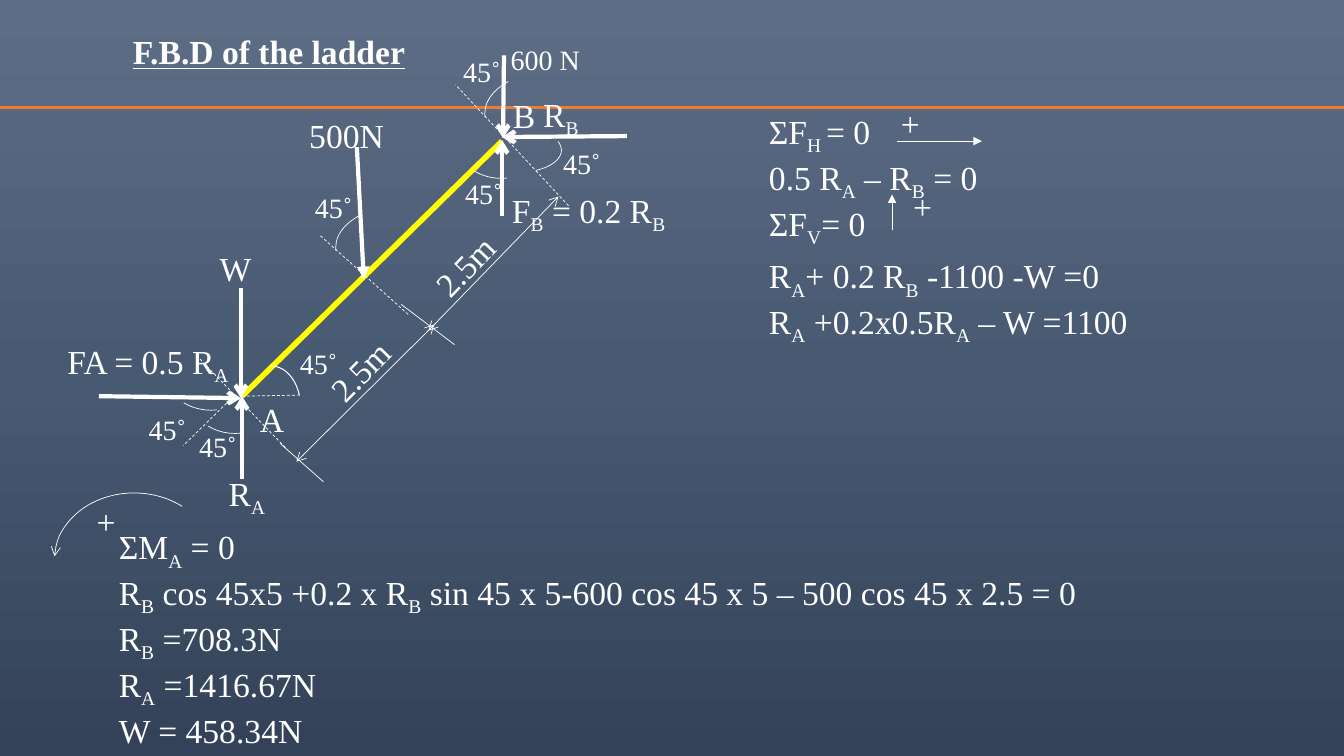
from copy import deepcopy
from dataclasses import dataclass

from lxml.etree import SubElement as Sub
from pptx import Presentation
from pptx.dml.color import RGBColor as RGB
from pptx.enum.dml import MSO_LINE as Dash
from pptx.enum.shapes import MSO_CONNECTOR as Conn, MSO_SHAPE as Shape
from pptx.enum.text import MSO_AUTO_SIZE as Auto, PP_ALIGN as Align
from pptx.oxml.ns import qn
from pptx.util import Pt


@dataclass(frozen=True)
class Theme:
    font: str = "Times New Roman"
    ink: str = "FFFFFF"
    rule: str = "ED7D31"
    beam: str = "FFFF00"
    back: tuple = ("5D6D85", "485972", "334258")
    text: int = 24
    small: int = 20


theme = Theme()


def write(text, x, y, w, h=36, size=theme.text, align=None, wrap=True, turn=0, bold=False):
    """Place text; the parts between bars are set as subscripts."""
    box = slide.shapes.add_textbox(Pt(x), Pt(y), Pt(w), Pt(h))
    box.rotation = turn
    frame = box.text_frame
    frame.word_wrap = wrap
    frame.auto_size = Auto.SHAPE_TO_FIT_TEXT
    for row, line in enumerate(text.split("\n")):
        para = frame.paragraphs[0] if row == 0 else frame.add_paragraph()
        para.alignment = align
        for part, piece in enumerate(line.split("|")):
            if not piece:
                continue
            run = para.add_run()
            run.text = piece
            font = run.font
            font.name, font.size = theme.font, Pt(size)
            font.color.rgb = RGB.from_string(theme.ink)
            if bold:
                font.bold = font.underline = True
            if part % 2:
                run._r.get_or_add_rPr().set("baseline", "-25000")


def stroke(shape, width=0.5, color=theme.ink, dash=False, head=None, tail=None):
    """Set the outline of a connector or arc, with its arrowheads."""
    line = shape.line
    line.color.rgb = RGB.from_string(color)
    line.width = Pt(width)
    if dash:
        line.dash_style = Dash.DASH
    props = shape._element.spPr
    edge = props.find(qn("a:ln"))
    for tag, kind in (("a:headEnd", head), ("a:tailEnd", tail)):
        if kind:
            Sub(edge, qn(tag), type=kind)
    if props.find(qn("a:effectLst")) is None:
        Sub(props, qn("a:effectLst"))


deck = Presentation()
deck.slide_width, deck.slide_height = Pt(960), Pt(540)
slide = deck.slides.add_slide(deck.slide_layouts[6])

# Background
fill = slide.background.fill
fill.gradient()
fill.gradient_angle = 270
stops = slide._element.find(".//" + qn("a:gsLst"))
stops.append(deepcopy(stops[0]))
for rank, stop in enumerate(fill.gradient_stops):
    stop.position = rank / 2
    stop.color.rgb = RGB.from_string(theme.back[rank])

# Rule, ladder, forces, guides and size lines
force = dict(width=3, tail="arrow")
guide = dict(dash=True)
span = dict(head="arrow", tail="arrow")
sign = dict(tail="triangle")
lines = [
    (0, 77, 960, 77, dict(width=2.25, color=theme.rule)),
    (172.8, 283, 358.6, 100.8, dict(width=4, color=theme.beam)),
    (360, 39.6, 359.3, 98.6, force),
    (172.8, 342, 172.8, 283, force),
    (70.6, 283, 172.1, 284.4, force),
    (358.6, 154.1, 358.6, 100.1, force),
    (447.8, 97.2, 358.6, 97.9, force),
    (172.1, 205.9, 172.1, 284.4, force),
    (254.9, 105.1, 259.9, 199.4, dict(width=3, tail="triangle")),
    (172.8, 283, 214.6, 282.2, guide),
    (406.1, 146.9, 325.4, 60.5, guide),
    (291.6, 224.6, 228.2, 167.8, guide),
    (203.8, 319.7, 142.6, 256.3, guide),
    (167, 283, 131, 318.2, guide),
    (231.1, 344.2, 200.2, 316.8, {}),
    (324.7, 246.2, 286.6, 217.4, {}),
    (211.7, 329.8, 310.3, 231.8, span),
    (306, 236.2, 398.9, 140.4, span),
    (640.8, 100.8, 701.3, 100.8, sign),
    (637.2, 164.2, 637.2, 139, sign),
]
for x1, y1, x2, y2, look in lines:
    stroke(slide.shapes.add_connector(Conn.STRAIGHT, Pt(x1), Pt(y1), Pt(x2), Pt(y2)), **look)

# Angle arcs and the turning sign
low = (48.23, 79.88)
left = (106.22, 128.28)
arcs = [
    (172.8, 261.4, 41.8, 57.6, (162, 203.33), dict(width=0.75)),
    (340.6, 91.4, 60.5, 31.7, (208.45, 30.6), {}),
    (326.2, 75.6, 63.4, 51.8, low, {}),
    (118.8, 241.2, 63.4, 51.8, low, {}),
    (136.1, 257.8, 63.4, 51.8, low, {}),
    (239.8, 146.2, 101.5, 61.2, left, {}),
    (346.3, 50.4, 101.5, 61.2, left, {}),
    (38.9, 352.1, 113.8, 95, (109.34, 187.34), dict(head="arrow")),
]
for x, y, w, h, ends, look in arcs:
    arc = slide.shapes.add_shape(Shape.ARC, Pt(x), Pt(y), Pt(w), Pt(h))
    arc.adjustments[0], arc.adjustments[1] = ends
    arc.fill.background()
    arc.shadow.inherit = False
    stroke(arc, **look)

# Angle labels
small = dict(h=31.7, size=theme.small, align=Align.CENTER)
for x, y in [(192.2, 244.1), (380.2, 100.8), (310.3, 122.4), (84.2, 290.9),
             (120.2, 303.1), (203, 132.5), (308.9, 35.3)]:
    write("45˚", x, y, 70.6, **small)
write("600 N", 355, 26.6, 69.1, **small)

# Title and force labels
write("F.B.D of the ladder", 87.8, 18.7, 221, bold=True)
write("A", 178.6, 281.5, 23.8, align=Align.CENTER)
write("B", 359.3, 64.1, 31, wrap=False)
write("500N", 213.8, 78.5, 68.4, wrap=False)
write("W", 149.8, 173.5, 59.8)
write("R|A", 156.2, 334.1, 66.2)
write("R|B", 380.9, 63.4, 66.2)
write("FA = 0.5 R|A", 41, 239.8, 157)
write("F|B| = 0.2 R|B", 358.6, 131.8, 157)
write("2.5m", 223.2, 241.2, 77.8, turn=314.5)
write("2.5m", 298.1, 166.3, 77.8, turn=314)
for x, y in [(636.5, 69.8), (645.1, 129.6), (61.9, 354.2)]:
    write("+", x, y, 45)

# Balance equations
write("ΣF|H |= 0\n0.5 R|A| – R|B| = 0\nΣF|V|= 0", 542.2, 75.6, 385.9, 94.3)
write("R|A|+ 0.2 R|B| -1100 -W =0\nR|A| +0.2x0.5R|A| – W =1100", 542.2, 178.6, 298.1, 65.5)
write("ΣM|A| = 0\n"
      "R|B| cos 45x5 +0.2 x R|B| sin 45 x 5-600 cos 45 x 5 – 500 cos 45 x 2.5 = 0\n"
      "R|B| =708.3N\nR|A| =1416.67N\nW = 458.34N", 77.8, 372.2, 851.8, 152.6)

deck.save("out.pptx")
